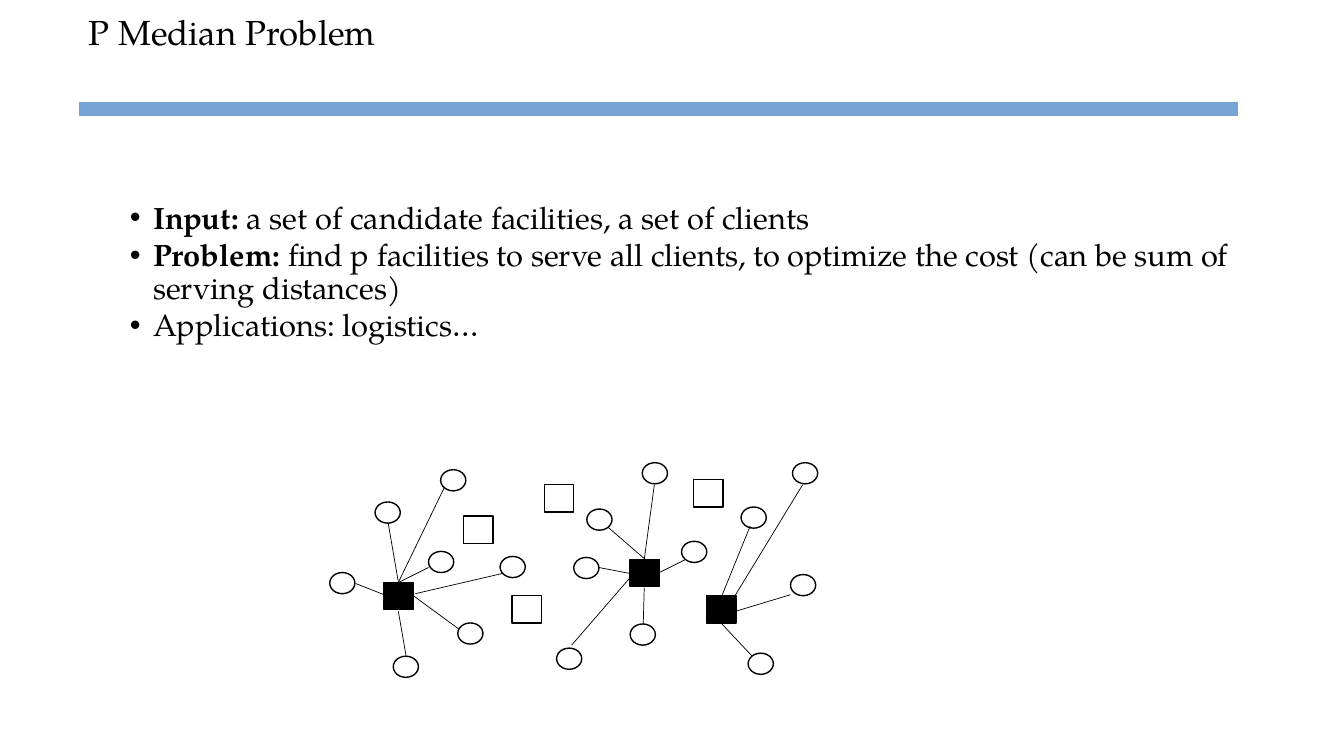
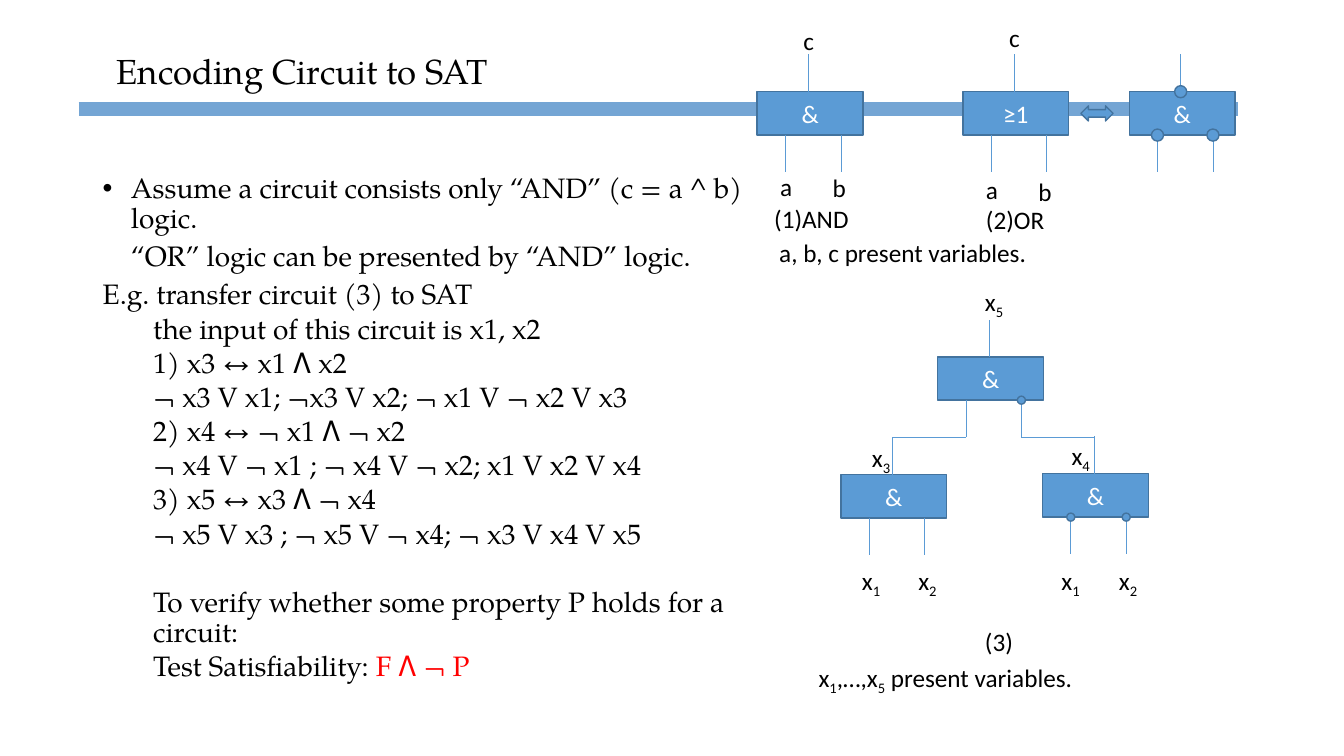
"""Build two lecture slides: the p-median problem and encoding a circuit to SAT."""
from dataclasses import dataclass
from typing import NamedTuple

from lxml import etree
from pptx import Presentation
from pptx.dml.color import RGBColor
from pptx.enum.shapes import MSO_CONNECTOR, MSO_SHAPE
from pptx.enum.text import MSO_ANCHOR, MSO_AUTO_SIZE, PP_ALIGN
from pptx.oxml.ns import qn
from pptx.shapes.autoshape import Shape
from pptx.slide import Slide
from pptx.text.text import TextFrame
from pptx.util import Inches, Pt

STRAIGHT = MSO_CONNECTOR.STRAIGHT
RECTANGLE = MSO_SHAPE.RECTANGLE
ELLIPSE = MSO_SHAPE.OVAL
BUBBLE = MSO_SHAPE.FLOWCHART_CONNECTOR
DOUBLE_ARROW = MSO_SHAPE.LEFT_RIGHT_ARROW
MIDDLE = MSO_ANCHOR.MIDDLE
TOP = MSO_ANCHOR.TOP
FIT_SHAPE = MSO_AUTO_SIZE.SHAPE_TO_FIT_TEXT
CENTER = PP_ALIGN.CENTER


class Theme(NamedTuple):
    """Colours, fonts and type sizes of the presentation."""
    black: str = "000000"
    white: str = "FFFFFF"
    red: str = "FF0000"
    band: str = "74A5D4"
    gate: str = "5B9BD5"
    gate_edge: str = "43739E"
    serif: str = "TeX Gyre Pagella"
    sans: str = "Calibri"
    title_size: float = 24.8
    points_size: float = 22
    body_size: float = 20
    label_size: float = 18
    outline: float = 1
    hairline: float = 0.5
    band_width: float = 9.5


THEME = Theme()


class Point(NamedTuple):
    """A position in inches."""
    x: float
    y: float


class Box(NamedTuple):
    """A rectangle in inches."""
    left: float
    top: float
    width: float
    height: float


class Run(NamedTuple):
    """A stretch of text with its own emphasis."""
    text: str
    bold: bool = False
    color: str = ""
    subscript: bool = False


class TextStyle(NamedTuple):
    """Font, size and colour of a text."""
    font: str
    size: float
    color: str = THEME.black


TITLE = TextStyle(THEME.serif, THEME.title_size)
POINTS = TextStyle(THEME.serif, THEME.points_size)
BODY = TextStyle(THEME.serif, THEME.body_size)
LABEL = TextStyle(THEME.sans, THEME.label_size)
GATE_LABEL = TextStyle(THEME.sans, THEME.label_size, THEME.white)


@dataclass(frozen=True)
class Line:
    """A paragraph with its indents and spacing."""
    runs: tuple[Run, ...]
    left: float = 0
    hanging: float = 0
    before: float = 0
    spacing: float = 0.9
    bullet: bool = False


@dataclass(frozen=True)
class Label:
    """A short text placed on a diagram."""
    runs: tuple[Run, ...]
    left: float
    top: float
    width: float = 0.4
    wrap: bool = False


@dataclass(frozen=True)
class Gate:
    """A logic gate with one output above and two inputs below."""
    symbol: str
    left: float
    top: float
    bubble: float = 0
    negated: tuple[int, ...] = ()

    width = 1.05
    height = 0.43
    lead = 0.37

    def pins(self) -> tuple[Point, Point, Point]:
        """Return the output pin and the two input pins."""
        bottom = self.top + self.height
        return (Point(self.left + 0.51, self.top),
                Point(self.left + 0.28, bottom),
                Point(self.left + 0.83, bottom))


def plain(text: str) -> tuple[Run, ...]:
    """Return a text as a single run."""
    return (Run(text),)


def variable(index: int) -> tuple[Run, ...]:
    """Return x with a subscript index."""
    return Run("x"), Run(str(index), subscript=True)


def fill_text(frame: TextFrame, lines: list[Line], style: TextStyle) -> None:
    """Write styled lines into a text frame."""
    for number, line in enumerate(lines):
        paragraph = frame.add_paragraph() if number else frame.paragraphs[0]
        layout = {"line_spacing": line.spacing, "space_before": Pt(line.before)}
        for name, value in layout.items():
            setattr(paragraph, name, value)
        properties = paragraph._p.get_or_add_pPr()
        properties.set("marL", str(Inches(line.left)))
        properties.set("indent", str(Inches(-line.hanging)))
        if line.bullet:
            etree.SubElement(properties, qn("a:buFont"), typeface="Arial")
            etree.SubElement(properties, qn("a:buChar"), char="•")
        for part in line.runs:
            run = paragraph.add_run()
            run.text = part.text
            values = {"name": style.font, "size": Pt(style.size), "bold": part.bold}
            for name, value in values.items():
                setattr(run.font, name, value)
            run.font.color.rgb = RGBColor.from_string(part.color or style.color)
            if part.subscript:
                run._r.get_or_add_rPr().set("baseline", "-25000")


def add_text(slide: Slide, box: Box, lines: list[Line], style: TextStyle,
             **frame_values: object) -> None:
    """Add a text box with the given frame settings."""
    frame = slide.shapes.add_textbox(*map(Inches, box)).text_frame
    for name, value in {"word_wrap": True, "vertical_anchor": TOP, **frame_values}.items():
        setattr(frame, name, value)
    fill_text(frame, lines, style)


def add_label(slide: Slide, label: Label) -> None:
    """Add a diagram label."""
    add_text(slide, Box(label.left, label.top, label.width, 0.4),
             [Line(label.runs, spacing=1.0)], LABEL,
             word_wrap=label.wrap, auto_size=FIT_SHAPE)


def add_line(slide: Slide, start: Point, end: Point, color: str,
             width: float = THEME.hairline) -> None:
    """Add a straight line without a shadow."""
    connector = slide.shapes.add_connector(STRAIGHT, *map(Inches, (*start, *end)))
    connector.line.color.rgb = RGBColor.from_string(color)
    connector.line.width = Pt(width)
    etree.SubElement(connector._element.spPr, qn("a:effectLst"))


def add_figure(slide: Slide, kind: int, box: Box, fill: str, edge: str) -> Shape:
    """Add an outlined shape, hollow when the fill is empty."""
    shape = slide.shapes.add_shape(kind, *map(Inches, box))
    shape.shadow.inherit = False
    if fill:
        shape.fill.solid()
        shape.fill.fore_color.rgb = RGBColor.from_string(fill)
    else:
        shape.fill.background()
    shape.line.color.rgb = RGBColor.from_string(edge)
    shape.line.width = Pt(THEME.outline)
    return shape


def add_gate(slide: Slide, gate: Gate) -> None:
    """Draw a gate with its leads and negation bubbles."""
    shape = add_figure(slide, RECTANGLE, Box(gate.left, gate.top, gate.width, gate.height),
                       THEME.gate, THEME.gate_edge)
    shape.text_frame.vertical_anchor = MIDDLE
    fill_text(shape.text_frame, [Line(plain(gate.symbol), spacing=1.0)], GATE_LABEL)
    shape.text_frame.paragraphs[0].alignment = CENTER
    pins = gate.pins()
    for pin, direction in zip(pins, (-1, 1, 1)):
        add_line(slide, pin, Point(pin.x, pin.y + direction * gate.lead), THEME.gate)
    for index in gate.negated:
        corner = (value - gate.bubble / 2 for value in pins[index])
        add_figure(slide, BUBBLE, Box(*corner, gate.bubble, gate.bubble),
                   THEME.gate, THEME.gate_edge)


def start_slide(presentation: Presentation, title: str, box: Box) -> Slide:
    """Add a blank slide with the shared band and a title."""
    slide = presentation.slides.add_slide(presentation.slide_layouts[6])
    add_line(slide, Point(0.78, 1.08), Point(12.28, 1.08), THEME.band, THEME.band_width)
    add_text(slide, box, [Line(plain(title))], TITLE, vertical_anchor=MIDDLE)
    return slide


CLIENTS = [(4.96, 5.52), (3.72, 4.98), (4.25, 5.47), (4.37, 4.66), (6.37, 4.59), (7.86, 4.59),
           (6.76, 5.37), (3.27, 5.68), (7.35, 5.03), (5.82, 5.05), (7.84, 5.7), (5.69, 5.53),
           (3.9, 6.51), (4.54, 6.18), (5.52, 6.43), (6.25, 6.19), (7.42, 6.48)]
CANDIDATES = [(4.6, 5.12), (5.4, 4.81), (6.88, 4.76), (5.08, 5.91)]
CHOSEN = [(3.81, 5.78), (6.25, 5.55), (7.01, 5.91)]
LINKS = [(3.95, 5.77, 3.85, 5.19), (3.81, 5.9, 3.53, 5.79), (3.95, 5.78, 4.41, 4.83),
         (3.95, 5.78, 4.25, 5.63), (4.12, 5.89, 4.98, 5.69), (3.95, 6.06, 4.03, 6.52),
         (4.1, 5.91, 4.55, 6.24), (6.25, 5.73, 5.67, 6.4), (6.39, 5.55, 6.49, 4.81),
         (6.25, 5.69, 5.94, 5.63), (6.4, 5.55, 6.03, 5.23), (6.54, 5.68, 6.8, 5.55),
         (6.39, 5.83, 6.38, 6.19), (7.29, 5.91, 7.96, 4.81), (7.16, 5.91, 7.44, 5.22),
         (7.16, 6.19, 7.46, 6.51), (7.31, 6.06, 7.84, 5.9)]


def build_median_slide(presentation: Presentation) -> None:
    """Build the p-median slide with its facility network."""
    slide = start_slide(presentation, "P Median Problem", Box(0.78, 0.08, 11.64, 0.52))
    points = [
        (Run("Input: ", bold=True), Run("a set of candidate facilities, a set of clients")),
        (Run("Problem: ", bold=True), Run("find p facilities to serve all clients, to optimize "
                                          "the cost (can be sum of serving distances)")),
        plain("Applications: logistics…"),
    ]
    lines = [Line(runs, 0.52, 0.23, 2.8, bullet=True) for runs in points]
    add_text(slide, Box(0.9, 1.96, 11.5, 4.76), lines, POINTS)
    for x1, y1, x2, y2 in LINKS:
        add_line(slide, Point(x1, y1), Point(x2, y2), THEME.black)
    nodes = [(CLIENTS, ELLIPSE, (0.25, 0.21), ""),
             (CANDIDATES, RECTANGLE, (0.29, 0.27), ""),
             (CHOSEN, RECTANGLE, (0.29, 0.27), THEME.black)]
    for corners, kind, size, fill in nodes:
        for corner in corners:
            add_figure(slide, kind, Box(*corner, *size), fill, THEME.black)


def build_circuit_slide(presentation: Presentation) -> None:
    """Build the circuit slide with its gate diagrams."""
    slide = start_slide(presentation, "Encoding Circuit to SAT", Box(1.06, 0, 5.66, 1.45))
    steps = ["the input of this circuit is x1, x2", "1) x3 ↔ x1 ꓥ x2",
             "¬ x3 V x1; ¬x3 V x2; ¬ x1 V ¬ x2 V x3", "2) x4 ↔ ¬ x1 ꓥ ¬ x2",
             "¬ x4 V ¬ x1 ; ¬ x4 V ¬ x2; x1 V x2 V x4", "3) x5 ↔ x3 ꓥ ¬ x4",
             "¬ x5 V x3 ; ¬ x5 V ¬ x4; ¬ x3 V x4 V x5"]
    lines = [
        Line(plain("Assume a circuit consists only “AND” (c = a ^ b) logic."),
             0.28, 0.28, 5.6, bullet=True),
        Line(plain("“OR” logic can be presented by “AND” logic."), 0.28, before=5.6),
        Line(plain("E.g. transfer circuit (3) to SAT"), before=5.6),
        *(Line(plain(step), 0.5, before=2.8) for step in steps),
        Line(plain("To verify whether some property P holds for a circuit:"), 0.5, before=27),
        Line((Run("Test Satisfiability: "), Run("F ꓥ ¬ P", color=THEME.red)), 0.5, before=2.8),
    ]
    add_text(slide, Box(0.92, 1.68, 6.55, 5.4), lines, BODY)

    root = Gate("&", 9.3, 3.54, 0.08, (2,))
    children = [Gate("&", 8.34, 4.71), Gate("&", 10.34, 4.7, 0.08, (1, 2))]
    examples = [Gate("&", 7.51, 0.91), Gate("≥1", 9.55, 0.91),
                Gate("&", 11.2, 0.91, 0.12, (0, 1, 2))]
    for child, pin in zip(children, root.pins()[1:]):
        joint = pin.y + root.lead
        add_line(slide, Point(child.pins()[0].x, joint), Point(pin.x, joint), THEME.gate)
    for gate in (*examples, *children, root):
        add_gate(slide, gate)
    add_figure(slide, DOUBLE_ARROW, Box(10.72, 1.05, 0.32, 0.15), THEME.gate, THEME.gate_edge)

    variables = [(1, 8.45, 5.56), (2, 9.01, 5.56), (3, 8.55, 4.34), (4, 10.53, 4.32),
                 (1, 10.43, 5.56), (2, 11, 5.56), (5, 9.67, 2.79)]
    captions = [("a", 7.64, 1.65, 0.32), ("b", 8.16, 1.66, 0.34), ("a", 9.68, 1.68, 0.32),
                ("b", 10.2, 1.7, 0.34), ("c", 7.87, 0.2, 0.31), ("c", 9.91, 0.17, 0.31),
                ("(1)AND", 7.58, 1.97, 0.95), ("(2)OR", 9.68, 1.98, 0.79),
                ("(3)", 9.67, 6.16, 0.52)]
    summary = (*variable(1), Run(",…,"), *variable(5), Run(" present variables."))
    labels = [
        *(Label(variable(index), left, top) for index, left, top in variables),
        *(Label(plain(text), *place) for text, *place in captions),
        Label(plain("a, b, c present variables."), 7.63, 2.31, 3.58, True),
        Label(summary, 8.02, 6.52, 3.58, True),
    ]
    for label in labels:
        add_label(slide, label)


def main() -> None:
    """Build and save the presentation."""
    presentation = Presentation()
    presentation.slide_width, presentation.slide_height = Inches(13.33), Inches(7.5)
    build_median_slide(presentation)
    build_circuit_slide(presentation)
    presentation.save("out.pptx")


if __name__ == "__main__":
    main()
